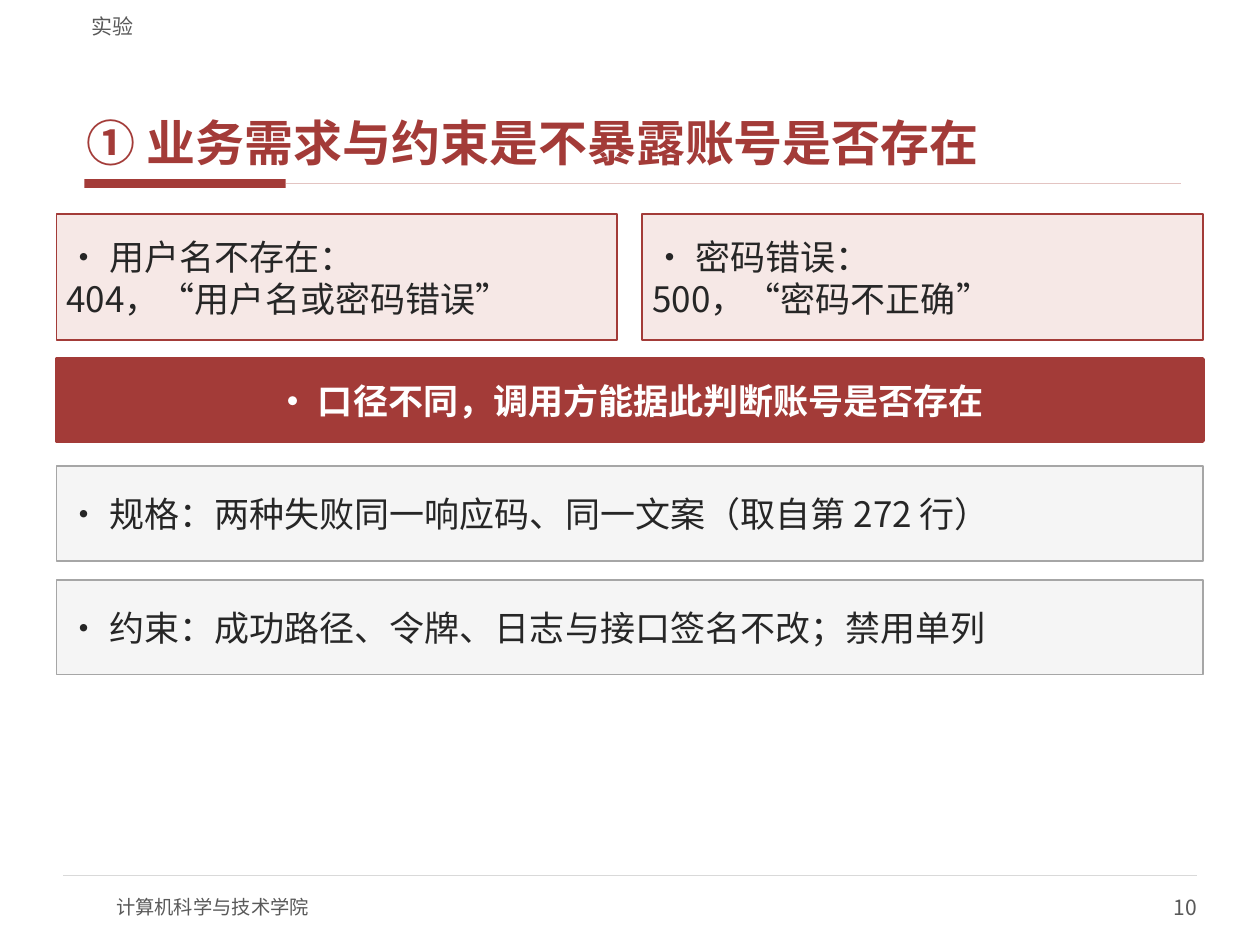
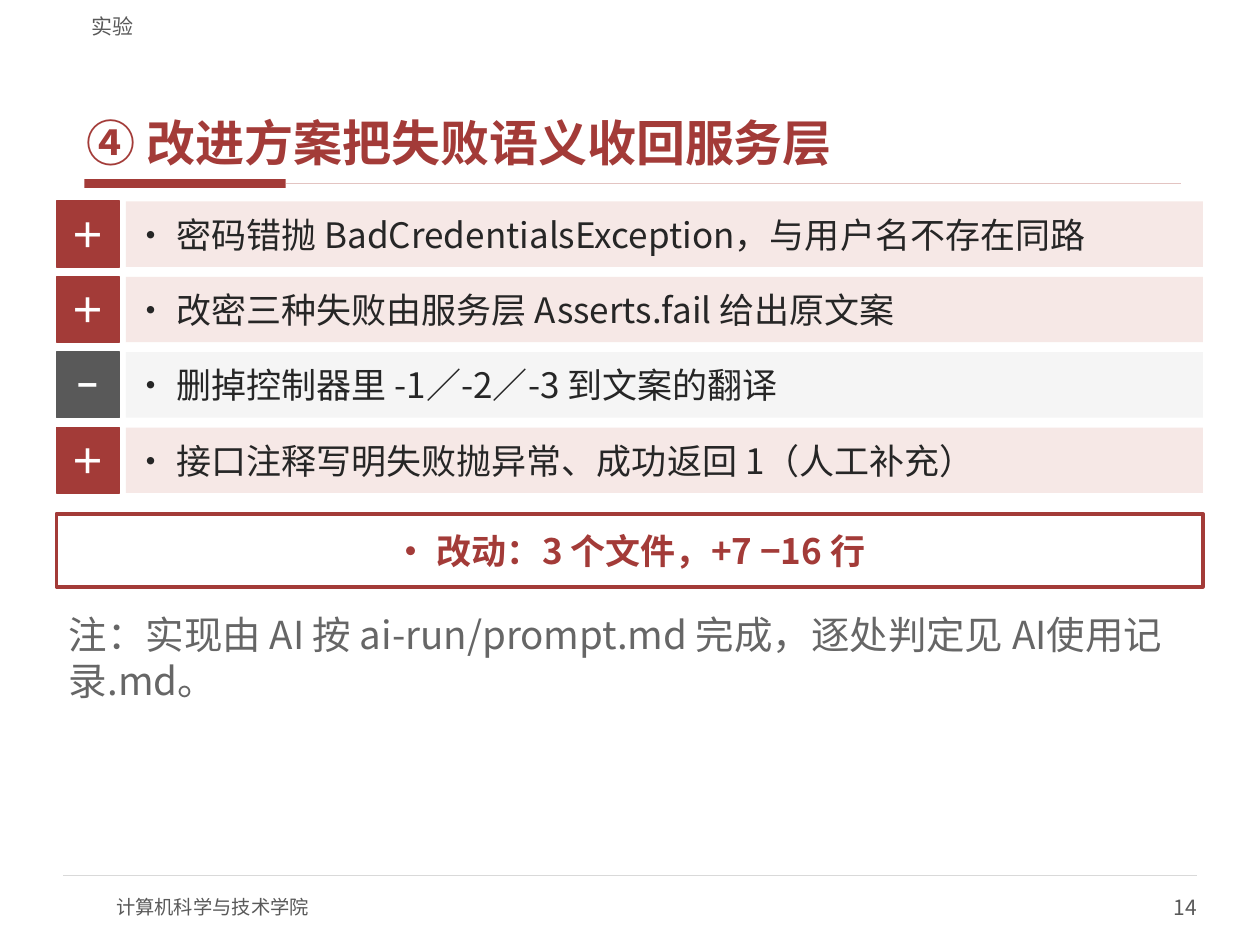
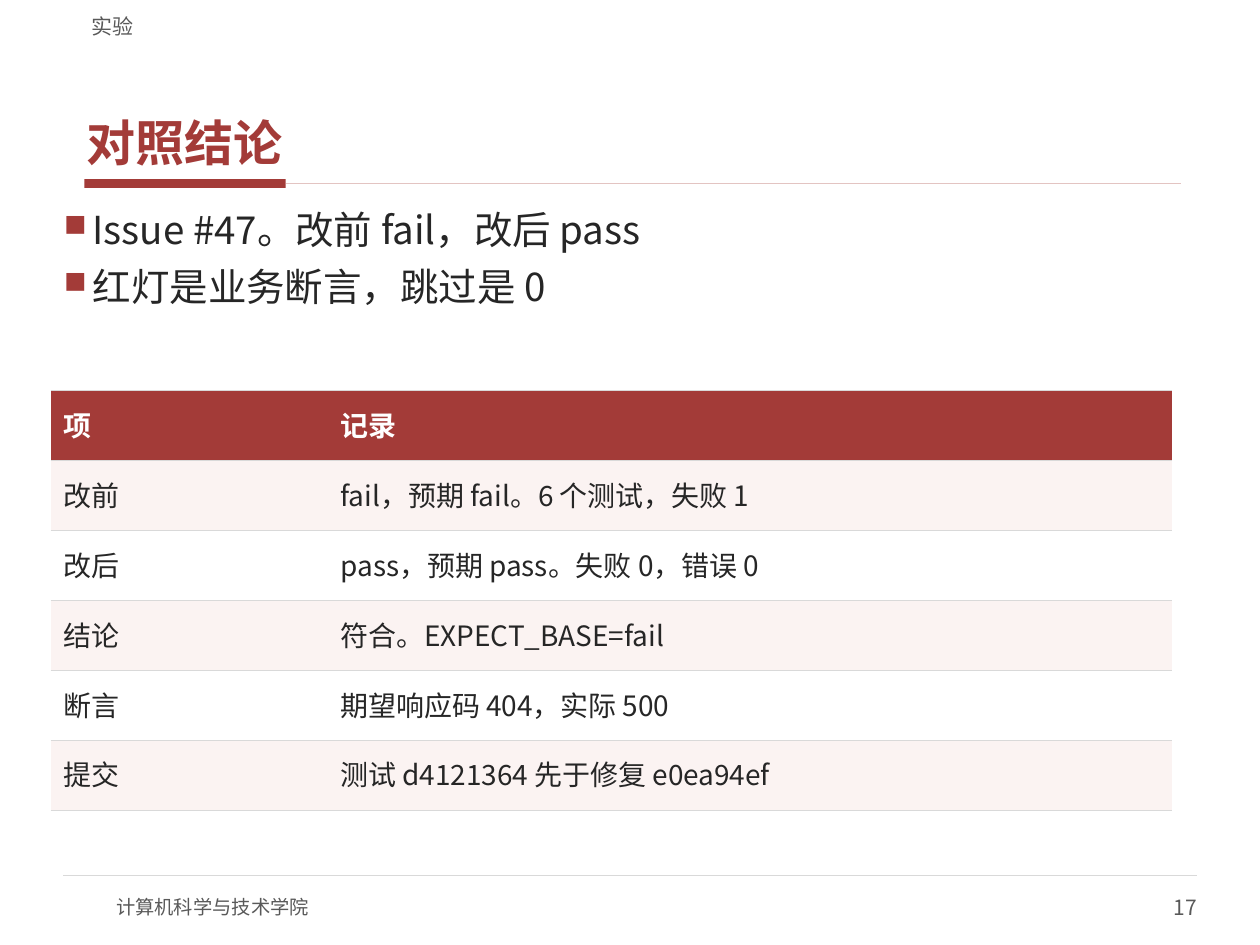
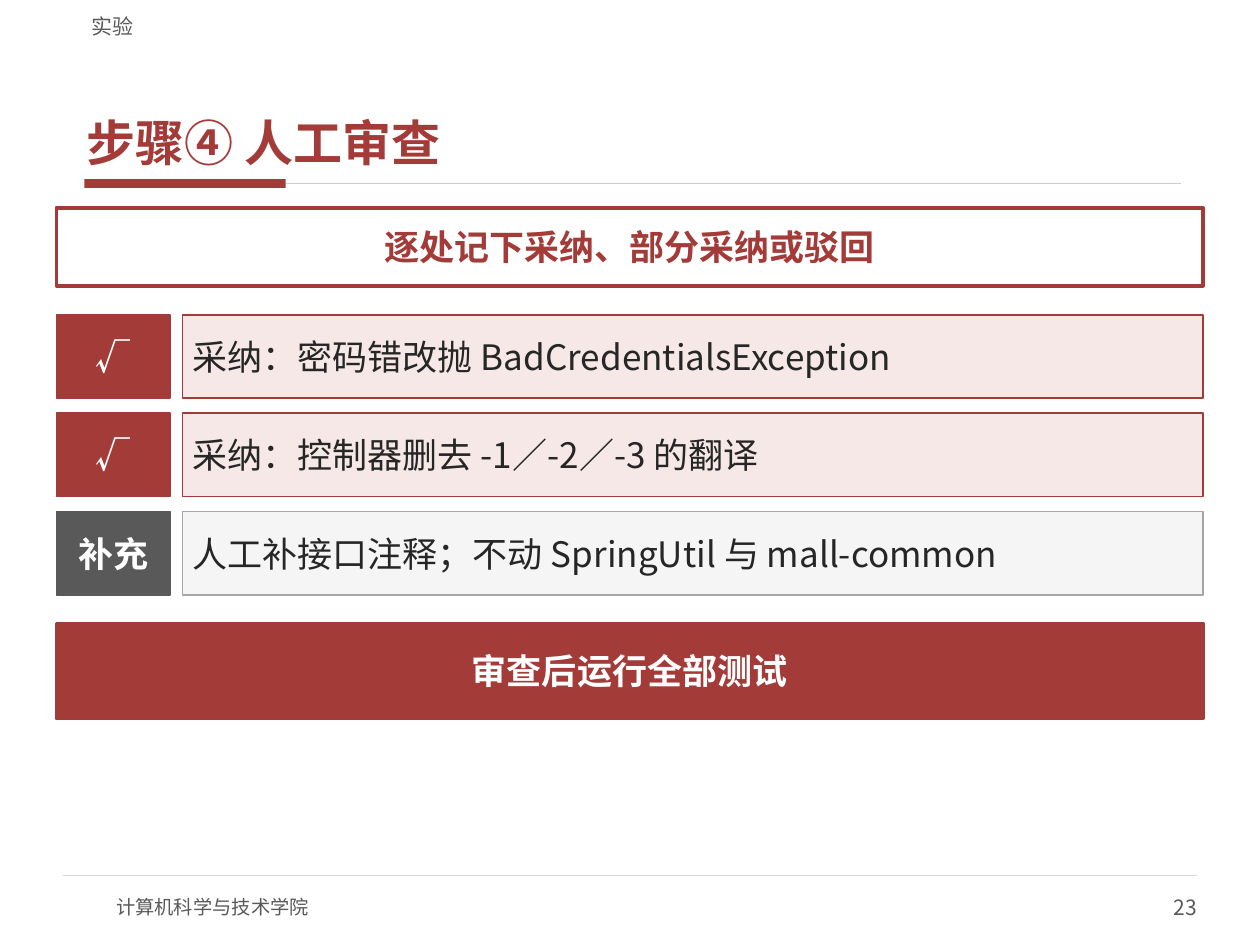
from collections import namedtuple

from lxml import etree
from pptx import Presentation
from pptx import util as u
from pptx.dml.color import RGBColor
from pptx.enum import shapes, text
from pptx.oxml.ns import qn

FONT = "Noto Sans CJK SC"
RED, PINK, BLUSH, ROSE = "A33B38", "F6E8E6", "FBF3F2", "E3C4C2"
INK, DARK, NOTE = "262626", "595959", "666666"
SILVER, RULE, PALE, WHITE = "A6A6A6", "D9D9D9", "F5F5F5", "FFFFFF"
LEFT, WIDTH = 1.14, 23.11
HEADER, FOOTER = "实验", "计算机科学与技术学院"
START, CENTER, END = text.PP_ALIGN.LEFT, text.PP_ALIGN.CENTER, text.PP_ALIGN.RIGHT
MIDDLE, TOP, BOTTOM = (
    text.MSO_ANCHOR.MIDDLE, text.MSO_ANCHOR.TOP, text.MSO_ANCHOR.BOTTOM)

Style = namedtuple("Style", "fill line weight ink bold align insets")
STYLES = {
    "pink": Style(PINK, RED, 1, INK, False, START, (0.2, 0.1)),
    "grey": Style(PALE, SILVER, 1, INK, False, START, (0.2, 0.1)),
    "pink strip": Style(PINK, None, 0, INK, False, START, (0.15, 0.08)),
    "grey strip": Style(PALE, None, 0, INK, False, START, (0.15, 0.08)),
    "solid": Style(RED, RED, 2.25, WHITE, True, CENTER, (0.2, 0.1)),
    "outline": Style(WHITE, RED, 2.25, RED, True, CENTER, (0.2, 0.1)),
    "red mark": Style(RED, RED, 1, WHITE, True, CENTER, (0, 0)),
    "dark mark": Style(DARK, DARK, 1, WHITE, True, CENTER, (0, 0)),
}

# A stack holds rows of (style, text) cells; "first" fixes the first cell's width.
Stack = namedtuple("Stack", "top height rows pitch gap first", defaults=(0, 0, None))

PAGES = [
    {
        "number": 10,
        "title": "① 业务需求与约束是不暴露账号是否存在",
        "stacks": [
            Stack(4.32, 2.54, [
                [("pink", "• 用户名不存在：\n404，“用户名或密码错误”"),
                 ("pink", "• 密码错误：\n500，“密码不正确”")],
            ], gap=0.51),
            Stack(7.24, 1.65, [[("solid", "• 口径不同，调用方能据此判断账号是否存在")]]),
            Stack(9.4, 1.91, [
                [("grey", "• 规格：两种失败同一响应码、同一文案（取自第 272 行）")],
                [("grey", "• 约束：成功路径、令牌、日志与接口签名不改；禁用单列")],
            ], pitch=2.29),
        ],
    },
    {
        "number": 14,
        "title": "④ 改进方案把失败语义收回服务层",
        "stacks": [
            Stack(4.06, 1.32, [
                [("red mark", "＋"),
                 ("pink strip", "• 密码错抛 BadCredentialsException，与用户名不存在同路")],
                [("red mark", "＋"),
                 ("pink strip", "• 改密三种失败由服务层 Asserts.fail 给出原文案")],
                [("dark mark", "−"),
                 ("grey strip", "• 删掉控制器里 -1／-2／-3 到文案的翻译")],
                [("red mark", "＋"),
                 ("pink strip", "• 接口注释写明失败抛异常、成功返回 1（人工补充）")],
            ], pitch=1.52, gap=0.13, first=1.27),
            Stack(10.36, 1.47, [[("outline", "• 改动：3 个文件，+7 −16 行")]]),
        ],
        "note": "注：实现由 AI 按 ai-run/prompt.md 完成，逐处判定见 AI使用记录.md。",
    },
    {
        "number": 17,
        "title": "对照结论",
        "bullets": ["Issue #47。改前 fail，改后 pass", "红灯是业务断言，跳过是 0"],
        "table": [
            ("项", "记录"),
            ("改前", "fail，预期 fail。6 个测试，失败 1"),
            ("改后", "pass，预期 pass。失败 0，错误 0"),
            ("结论", "符合。EXPECT_BASE=fail"),
            ("断言", "期望响应码 404，实际 500"),
            ("提交", "测试 d4121364 先于修复 e0ea94ef"),
        ],
    },
    {
        "number": 23,
        "title": "步骤④ 人工审查",
        "stacks": [
            Stack(4.19, 1.57, [[("outline", "逐处记下采纳、部分采纳或驳回")]]),
            Stack(6.35, 1.68, [
                [("red mark", "√"), ("pink", "采纳：密码错改抛 BadCredentialsException")],
                [("red mark", "√"), ("pink", "采纳：控制器删去 -1／-2／-3 的翻译")],
                [("dark mark", "补充"),
                 ("grey", "人工补接口注释；不动 SpringUtil 与 mall-common")],
            ], pitch=1.98, gap=0.25, first=2.29),
            Stack(12.57, 1.91, [[("solid", "审查后运行全部测试")]]),
        ],
    },
]


def color(value):
    """Turn a hex string into a colour."""
    return RGBColor.from_string(value)


def place(*lengths):
    """Turn centimetre numbers into lengths."""
    return [u.Cm(length) for length in lengths]


def write(para, content, size, ink, bold=False, align=START):
    """Add the lines of a text to a paragraph as formatted runs."""
    para.alignment = align
    for index, line in enumerate(content.split("\n")):
        if index:
            para.add_line_break()
        span = para.add_run()
        span.text = line
        span.font.size = u.Pt(size)
        span.font.bold = bold
        span.font.color.rgb = color(ink)
        span.font.name = FONT
        etree.SubElement(span.font._element, qn("a:ea"), typeface=FONT)


def frame_up(frame, insets, anchor):
    """Set wrapping, insets and anchor of a text frame."""
    frame.word_wrap = True
    frame.auto_size = text.MSO_AUTO_SIZE.NONE
    frame.vertical_anchor = anchor
    frame.margin_left = frame.margin_right = u.Cm(insets[0])
    frame.margin_top = frame.margin_bottom = u.Cm(insets[1])


def add_text(page, area, content, size, ink, insets=(0, 0), anchor=MIDDLE, align=START):
    """Add a text box with one paragraph and return it."""
    box = page.shapes.add_textbox(*place(*area))
    frame_up(box.text_frame, insets, anchor)
    write(box.text_frame.paragraphs[0], content, size, ink, align=align)
    return box


def add_box(page, area, fill, line=None, weight=0):
    """Add a flat rectangle and return it."""
    box = page.shapes.add_shape(shapes.MSO_SHAPE.RECTANGLE, *place(*area))
    box.shadow.inherit = False
    box.fill.solid()
    box.fill.fore_color.rgb = color(fill)
    if line:
        box.line.color.rgb = color(line)
        box.line.width = u.Pt(weight)
    else:
        box.line.fill.background()
    return box


def add_rule(page, start, end, y, ink, weight):
    """Add a horizontal line."""
    rule = page.shapes.add_connector(
        shapes.MSO_CONNECTOR.STRAIGHT, *place(start, y, end, y))
    rule.line.color.rgb = color(ink)
    rule.line.width = u.Pt(weight)
    etree.SubElement(rule._element.spPr, qn("a:effectLst"))


def add_frame(page, title, number):
    """Add what every page shares: title, header, rules and footer."""
    add_box(page, (1.7, 3.61, 4.06, 0.18), RED)
    add_rule(page, 5.76, 23.8, 3.7, ROSE, 1)
    add_rule(page, 1.27, 24.13, 17.65, RULE, 0.75)
    add_text(page, (2.34, 17.78, 10.16, 1.02), FOOTER, 11, DARK)
    add_text(page, (19.05, 17.78, 5.08, 1.02), str(number), 12, DARK, align=END)
    add_text(page, (1.6, 0.1, 22.23, 0.69), HEADER, 12, DARK, (0.25, 0), BOTTOM)
    head = page.shapes.title
    head.left, head.top, head.width, head.height = place(1.6, 0.84, 22.23, 2.67)
    frame_up(head.text_frame, (0.15, 0.05), BOTTOM)
    para = head.text_frame.paragraphs[0]
    para.space_after = u.Pt(2)
    write(para, title, 28, RED, bold=True)


def add_stack(page, stack):
    """Lay out rows of cells at an even pitch across the full width."""
    for index, row in enumerate(stack.rows):
        top = stack.top + index * stack.pitch
        room = WIDTH - stack.gap * (len(row) - 1)
        widths = [room / len(row)] * len(row)
        if stack.first:
            widths = [stack.first, room - stack.first]
        left = LEFT
        for width, (name, content) in zip(widths, row):
            style = STYLES[name]
            box = add_box(page, (left, top, width, stack.height),
                          style.fill, style.line, style.weight)
            frame_up(box.text_frame, style.insets, MIDDLE)
            write(box.text_frame.paragraphs[0], content, 20,
                  style.ink, style.bold, style.align)
            left += width + stack.gap


def add_bullets(page, items):
    """Add a list with small red square bullets."""
    box = page.shapes.add_textbox(*place(LEFT, 4.11, WIDTH, 3.56))
    frame_up(box.text_frame, (0.15, 0.05), TOP)
    for index, item in enumerate(items):
        para = box.text_frame.add_paragraph() if index else box.text_frame.paragraphs[0]
        props = para._p.get_or_add_pPr()
        props.set("marL", str(u.Cm(0.58)))
        props.set("indent", str(u.Cm(-0.58)))
        tint = etree.SubElement(props, qn("a:buClr"))
        etree.SubElement(tint, qn("a:srgbClr"), val=RED)
        etree.SubElement(props, qn("a:buSzPct"), val="80000")
        etree.SubElement(props, qn("a:buChar"), char="■")
        if index:
            para.space_before = u.Pt(4)
        para.space_after = u.Pt(2)
        write(para, item, 22, INK)


def add_records(page, rows):
    """Add the table of records with a red head and striped rows."""
    widths, height = (5.59, 17.02), 1.41
    table = page.shapes.add_table(
        len(rows), len(widths),
        *place(1.02, 7.87, sum(widths), height * len(rows))).table
    table.horz_banding = False
    table._tbl.tblPr.find(qn("a:tableStyleId")).text = (
        "{2D5ABB26-0587-4C30-8999-92F81FD0307C}")
    for column, width in zip(table.columns, widths):
        column.width = u.Cm(width)
    for index, row in enumerate(rows):
        table.rows[index].height = u.Cm(height)
        fill = (BLUSH if index % 2 else WHITE) if index else RED
        for cell, content in zip(table.rows[index].cells, row):
            cell.vertical_anchor = MIDDLE
            cell.fill.solid()
            cell.fill.fore_color.rgb = color(fill)
            for place_at, side in enumerate(("a:lnT", "a:lnB")):
                edge = etree.Element(qn(side), w=str(u.Pt(0.75)))
                paint = etree.SubElement(edge, qn("a:solidFill"))
                etree.SubElement(paint, qn("a:srgbClr"), val=RULE)
                cell._tc.tcPr.insert(place_at, edge)
            para = cell.text_frame.paragraphs[0]
            para.line_spacing = 0.9
            write(para, content, 16, INK if index else WHITE, bold=not index)


def main():
    """Build the deck and save it."""
    deck = Presentation()
    deck.slide_width, deck.slide_height = place(25.4, 19.05)
    for content in PAGES:
        page = deck.slides.add_slide(deck.slide_layouts[5])
        add_frame(page, content["title"], content["number"])
        for stack in content.get("stacks", []):
            add_stack(page, stack)
        if "note" in content:
            note = add_text(page, (LEFT, 12.19, WIDTH, 2.29), content["note"],
                            22, NOTE, (0.25, 0.13), TOP)
            note.text_frame.auto_size = text.MSO_AUTO_SIZE.SHAPE_TO_FIT_TEXT
        if "bullets" in content:
            add_bullets(page, content["bullets"])
        if "table" in content:
            add_records(page, content["table"])
    deck.save("out.pptx")


if __name__ == "__main__":
    main()
